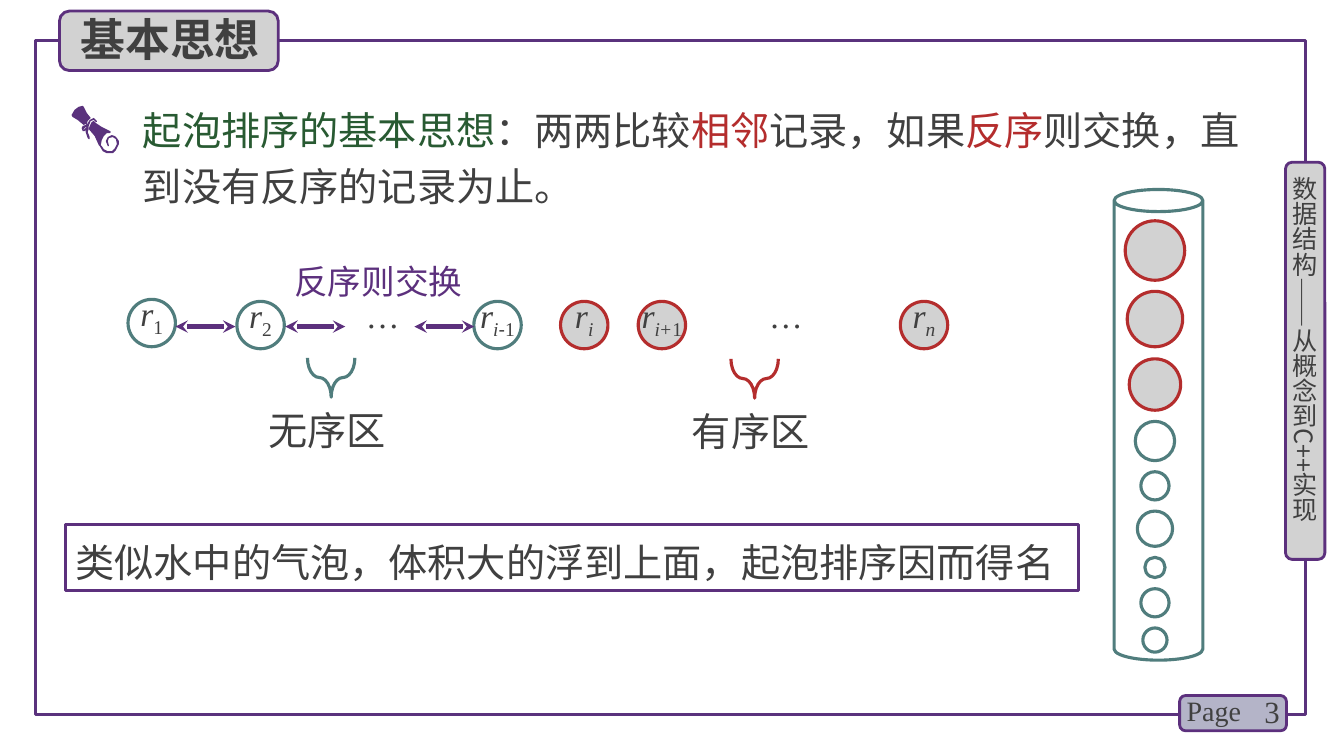
from lxml.etree import SubElement
from pptx import Presentation
from pptx.dml.color import RGBColor
from pptx.enum.shapes import MSO_CONNECTOR, MSO_SHAPE
from pptx.enum.text import MSO_ANCHOR, PP_ALIGN
from pptx.oxml.ns import qn
from pptx.util import Inches, Pt

GRAPE = RGBColor(0x5A, 0x32, 0x7D)
PLUM = RGBColor(0x5C, 0x30, 0x7D)
TEAL = RGBColor(0x50, 0x7D, 0x7D)
RED = RGBColor(0xB4, 0x2D, 0x2D)
GREEN = RGBColor(0x28, 0x5A, 0x32)
INK = RGBColor(0x40, 0x40, 0x40)
GREY = RGBColor(0xD2, 0xD2, 0xD2)
MIST = RGBColor(0xB4, 0xB4, 0xC8)
SANS = "Noto Sans CJK SC"
SERIF = "Times New Roman"

deck = Presentation()
deck.slide_width, deck.slide_height = Inches(13.33), Inches(7.5)
slide = deck.slides.add_slide(deck.slide_layouts[6])
items = slide.shapes
cell = Inches(0.1)


def place(kind, x, y, w, h, line=None, fill=None, thick=2.25):
    spot = [round(n * cell) for n in (x, y, w, h)]
    if kind is None:
        return items.add_textbox(*spot)
    shape = items.add_shape(kind, *spot)
    shape.shadow.inherit = False
    shape.line.color.rgb = line
    shape.line.width = Pt(thick)
    if fill is None:
        shape.fill.background()
    else:
        shape.fill.solid()
        shape.fill.fore_color.rgb = fill
    return shape


def write(shape, runs, size, font=SANS, align=PP_ALIGN.LEFT, lead=None,
          anchor=MSO_ANCHOR.TOP, inset=(1, 0.5), wrap=True):
    frame = shape.text_frame
    frame.word_wrap = wrap
    frame.vertical_anchor = anchor
    frame.margin_left = frame.margin_right = round(inset[0] * cell)
    frame.margin_top = frame.margin_bottom = round(inset[1] * cell)
    para = frame.paragraphs[0]
    para.alignment = align
    if lead:
        para.line_spacing = Pt(lead)
    for words, color, look in runs:
        run = para.add_run()
        run.text = words
        run.font.size = Pt(size)
        run.font.color.rgb = color
        run.font.bold = "b" in look
        run.font.italic = "i" in look
        face = "Arial" if "a" in look else font
        run.font.name = face
        props = run._r.get_or_add_rPr()
        SubElement(props, qn("a:ea")).set("typeface", face)
        if "s" in look:
            props.set("baseline", "-25000")
        if "t" in look:
            props.set("spc", "-70")


place(MSO_SHAPE.RECTANGLE, 3.5, 4, 126, 66.9, GRAPE)
place(MSO_SHAPE.ROUNDED_RECTANGLE, 117, 69, 10.6, 3.5, PLUM, MIST, 2)
write(place(None, 122, 68.6, 5.9, 4), [("3", INK, "")], 22, SERIF,
      PP_ALIGN.RIGHT, anchor=MSO_ANCHOR.MIDDLE)
write(place(None, 116.7, 68.3, 7.8, 4.4), [("Page", INK, "")], 20, SERIF)

place(MSO_SHAPE.ROUNDED_RECTANGLE, 127.5, 16.1, 3.9, 39.4, PLUM, GREY, 2)
side = place(None, 127.9, 17.5, 3, 37.8)
write(side, [("数据结构——从概念到C++实现", INK, "")], 18, inset=(0, 0))
side.text_frame._txBody.bodyPr.set("vert", "eaVert")

place(MSO_SHAPE.ROUNDED_RECTANGLE, 5.9, 1.1, 21.7, 5.9, PLUM, GREY, 2)
write(place(None, 7, 0.7, 21, 6.4), [("基本思想", INK, "b")], 32)

write(place(None, 13.2, 9.2, 113.3, 12.2), [
    ("起泡排序的基本思想", GREEN, ""),
    ("：两两比较", INK, ""),
    ("相邻", RED, ""),
    ("记录，如果", INK, ""),
    ("反序", RED, ""),
    ("则交换，直到没有反序的记录为止。", INK, ""),
], 28, lead=40)

scroll = [
    [[(85, 123), (86, 124), (87, 120), (89, 118), (90, 117), (86, 112),
      (83, 106), (82, 105), (78, 106), (74, 109), (71, 114), (72, 116),
      (77, 119), (83, 124)]],
    [[(116, 137), (114, 135), (111, 134.5), (107, 136), (105, 140), (107, 145),
      (108, 145), (108, 144), (107, 140), (108, 137), (112, 136), (115, 138),
      (116, 143), (114, 147), (111, 149.5), (107, 150), (103, 148),
      (101, 145), (100, 144), (101, 139), (103, 135), (106, 132.5), (109, 132),
      (110, 131), (109, 130), (101, 126), (95, 122), (93, 120), (91, 121),
      (89, 125), (88, 128), (94, 135), (98, 144), (99, 145), (102, 150),
      (106, 152), (108, 152), (112, 151.5), (115, 149), (118, 143),
      (117.5, 140)]],
    [[(88, 138), (87, 137), (85, 131), (85, 129), (84, 130), (82, 130),
      (81, 127), (82.5, 125), (85, 124), (86, 124), (89, 119), (93, 117),
      (94, 118), (96, 120), (96, 121), (95, 121), (94, 120), (93, 119),
      (90, 120), (88, 125), (88, 128), (87, 131), (89, 136), (89, 138)],
     [(85, 126), (83, 128), (83, 129), (84, 128), (86, 126)]],
]
for loops in scroll:
    pen = items.build_freeform(*loops[0][0], scale=cell / 10)
    for loop in loops:
        pen.move_to(*loop[0])
        pen.add_line_segments(loop[1:], close=True)
    part = pen.convert_to_shape()
    part.shadow.inherit = False
    part.fill.solid()
    part.fill.fore_color.rgb = GRAPE
    part.line.fill.background()

for x, y, color, name in [(30.9, 35.1, TEAL, "无序区"),
                          (72.9, 35.2, RED, "有序区")]:
    brace = place(MSO_SHAPE.LEFT_BRACE, x, y, 3.9, 4.7, color)
    brace.rotation = 270
    brace.adjustments[0] = 0.73
    write(place(None, x - 5.25, y + 4.7, 21.7, 5.7), [(name, INK, "")], 28)

nodes = [
    (12.7, 29.7, None, 1, [("r", "i"), ("1", "s")]),
    (23.5, 29.9, None, 1, [("r", "i"), ("2", "s")]),
    (47, 29.9, None, 0, [("r", "it"), ("i", "ist"), ("-", "sat"), ("1", "st")]),
    (55.6, 29.9, GREY, 1, [("r", "i"), ("i", "is")]),
    (63.3, 29.9, GREY, 1, [("r", "it"), ("i+", "ist"), ("1", "st")]),
    (89.3, 29.9, GREY, 1, [("r", "i"), ("n", "is")]),
]
for x, y, fill, pad, marks in nodes:
    node = place(MSO_SHAPE.OVAL, x, y, 4.7, 4.7, RED if fill else TEAL, fill)
    write(node, [(word, INK, look) for word, look in marks], 24, SERIF,
          PP_ALIGN.CENTER, 22, MSO_ANCHOR.MIDDLE, (pad, 0), False)

for x in (32.9, 72.9):
    write(place(None, x, 29.7, 10.1, 4.1), [("…", INK, "")], 24, SERIF,
          PP_ALIGN.CENTER, 22)

for x in (17.4, 28.3, 41.1):
    ends = [round(n * cell) for n in (x, 32.4, x + 5.95, 32.4)]
    arrow = items.add_connector(MSO_CONNECTOR.STRAIGHT, *ends)
    arrow.line.color.rgb = PLUM
    arrow.line.width = Pt(3)
    for tip in ("a:headEnd", "a:tailEnd"):
        SubElement(arrow.line._get_or_add_ln(), qn(tip)).set("type", "stealth")
    SubElement(arrow._element.spPr, qn("a:effectLst"))

write(place(None, 29.2, 25.9, 19, 4.2), [("反序则交换", PLUM, "")], 24,
      inset=(0, 0))

place(MSO_SHAPE.CAN, 110.5, 18.8, 8.8, 46.7, TEAL)
balls = [(21.9, 5.9), (28.9, 5.5), (35.6, 5.1), (41.8, 3.9), (46.8, 2.8),
         (50.7, 3.5), (55.3, 2), (58.4, 2.8), (62.3, 2.4)]
for rank, (top, size) in enumerate(balls):
    color, fill = (RED, GREY) if rank < 3 else (TEAL, None)
    place(MSO_SHAPE.OVAL, 114.55 - size / 2, top, size, size, color, fill)

write(place(MSO_SHAPE.RECTANGLE, 6.5, 52, 100.5, 6.6, PLUM),
      [("类似水中的气泡，体积大的浮到上面，起泡排序因而得名", INK, "")], 28, lead=40)

deck.save("out.pptx")
